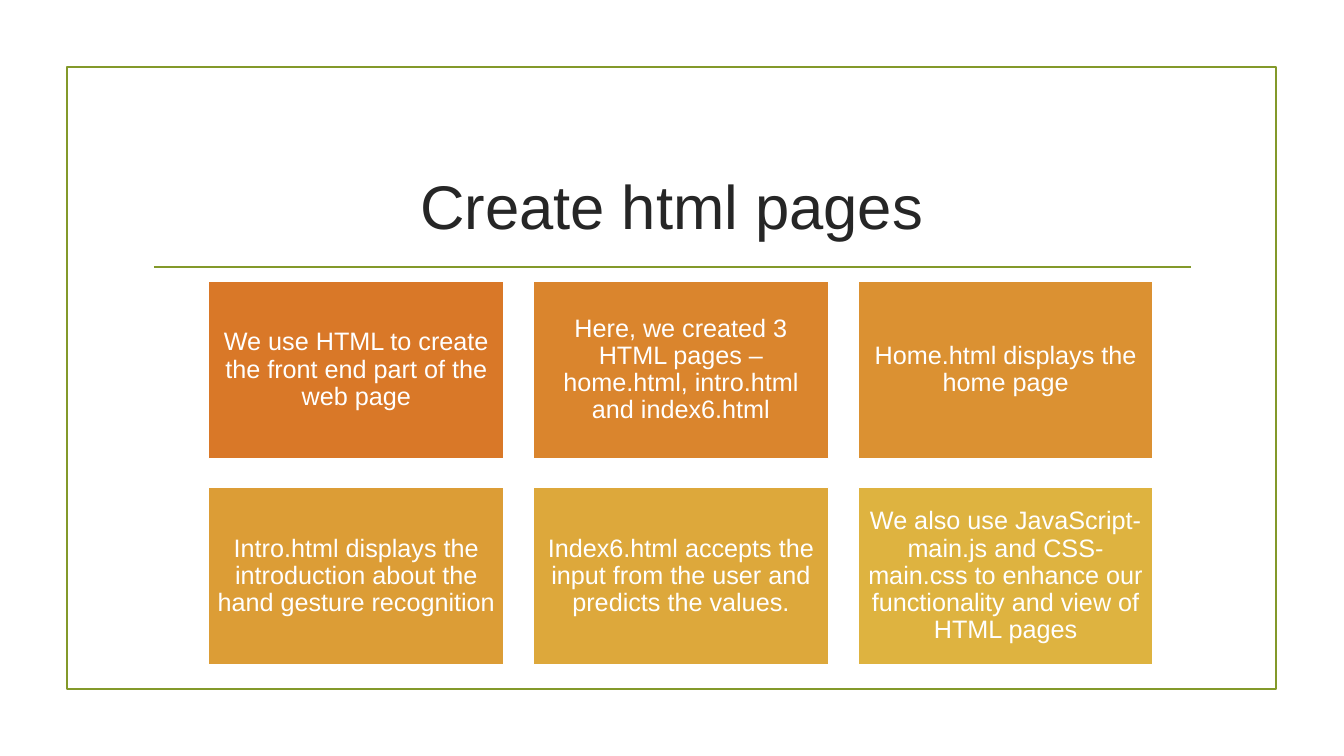
"""Build a slide with a titled frame and a grid of six notes on HTML pages."""
import pptx
import pptx.dml.color
import pptx.enum.shapes
import pptx.enum.text
import pptx.oxml.ns
import pptx.util
from lxml import etree

Pt = pptx.util.Pt
RGBColor = pptx.dml.color.RGBColor
RECTANGLE = pptx.enum.shapes.MSO_SHAPE.RECTANGLE

GREEN = RGBColor(0x83, 0x99, 0x2A)
DARK = RGBColor(0x26, 0x26, 0x26)
WHITE = RGBColor(0xFF, 0xFF, 0xFF)

CARDS = [
    ("We use HTML to create the front end part of the web page",
     RGBColor(0xD9, 0x78, 0x28)),
    ("Here, we created 3 HTML pages – home.html, intro.html and index6.html",
     RGBColor(0xDA, 0x85, 0x2D)),
    ("Home.html displays the home page",
     RGBColor(0xDB, 0x91, 0x32)),
    ("Intro.html displays the introduction about the hand gesture recognition",
     RGBColor(0xDC, 0x9D, 0x36)),
    ("Index6.html accepts the input from the user and predicts the values.",
     RGBColor(0xDD, 0xA8, 0x3B)),
    ("We also use JavaScript-main.js and CSS-main.css to enhance our "
     "functionality and view of HTML pages",
     RGBColor(0xDE, 0xB3, 0x40)),
]
COLUMNS = 3
CARD_LEFT, CARD_TOP = 149, 201
CARD_WIDTH, CARD_HEIGHT = 211, 126.6
COLUMN_STEP, ROW_STEP = 231.9, 147.2


def write_text(box, text, size, color, margin, line_spacing=1.0):
    frame = box.text_frame
    frame.word_wrap = True
    frame.auto_size = pptx.enum.text.MSO_AUTO_SIZE.NONE
    frame.vertical_anchor = pptx.enum.text.MSO_ANCHOR.MIDDLE
    frame.margin_left = frame.margin_right = Pt(margin)
    frame.margin_top = frame.margin_bottom = Pt(margin)
    para = frame.paragraphs[0]
    para.alignment = pptx.enum.text.PP_ALIGN.CENTER
    para.line_spacing = line_spacing
    span = para.add_run()
    span.text = text
    span.font.name = "Arial"
    span.font.size = Pt(size)
    span.font.color.rgb = color


deck = pptx.Presentation()
deck.slide_width, deck.slide_height = Pt(960), Pt(540)
page = deck.slides.add_slide(deck.slide_layouts[5])

border = page.shapes.add_shape(RECTANGLE, Pt(47.7), Pt(48), Pt(864), Pt(444))
border.shadow.inherit = False
border.fill.background()
border.line.color.rgb = GREEN
border.line.width = Pt(1.25)

rule = page.shapes.add_connector(
    pptx.enum.shapes.MSO_CONNECTOR.STRAIGHT, Pt(110), Pt(190.8), Pt(850.5), Pt(190.8))
rule.line.color.rgb = GREEN
rule.line.width = Pt(1.25)
etree.SubElement(rule._element.spPr, pptx.oxml.ns.qn("a:effectLst"))

title = page.shapes.title
title.left, title.top, title.width, title.height = Pt(102), Pt(112.5), Pt(756), Pt(67.5)
write_text(title, "Create html pages", size=44, color=DARK, margin=3.6)

for index, (text, fill) in enumerate(CARDS):
    row, column = divmod(index, COLUMNS)
    card = page.shapes.add_shape(
        RECTANGLE,
        Pt(CARD_LEFT + column * COLUMN_STEP), Pt(CARD_TOP + row * ROW_STEP),
        Pt(CARD_WIDTH), Pt(CARD_HEIGHT))
    card.shadow.inherit = False
    card.fill.solid()
    card.fill.fore_color.rgb = fill
    card.line.color.rgb = WHITE
    card.line.width = Pt(1.25)
    write_text(card, text, size=18, color=WHITE, margin=5, line_spacing=0.9)

deck.save("out.pptx")
